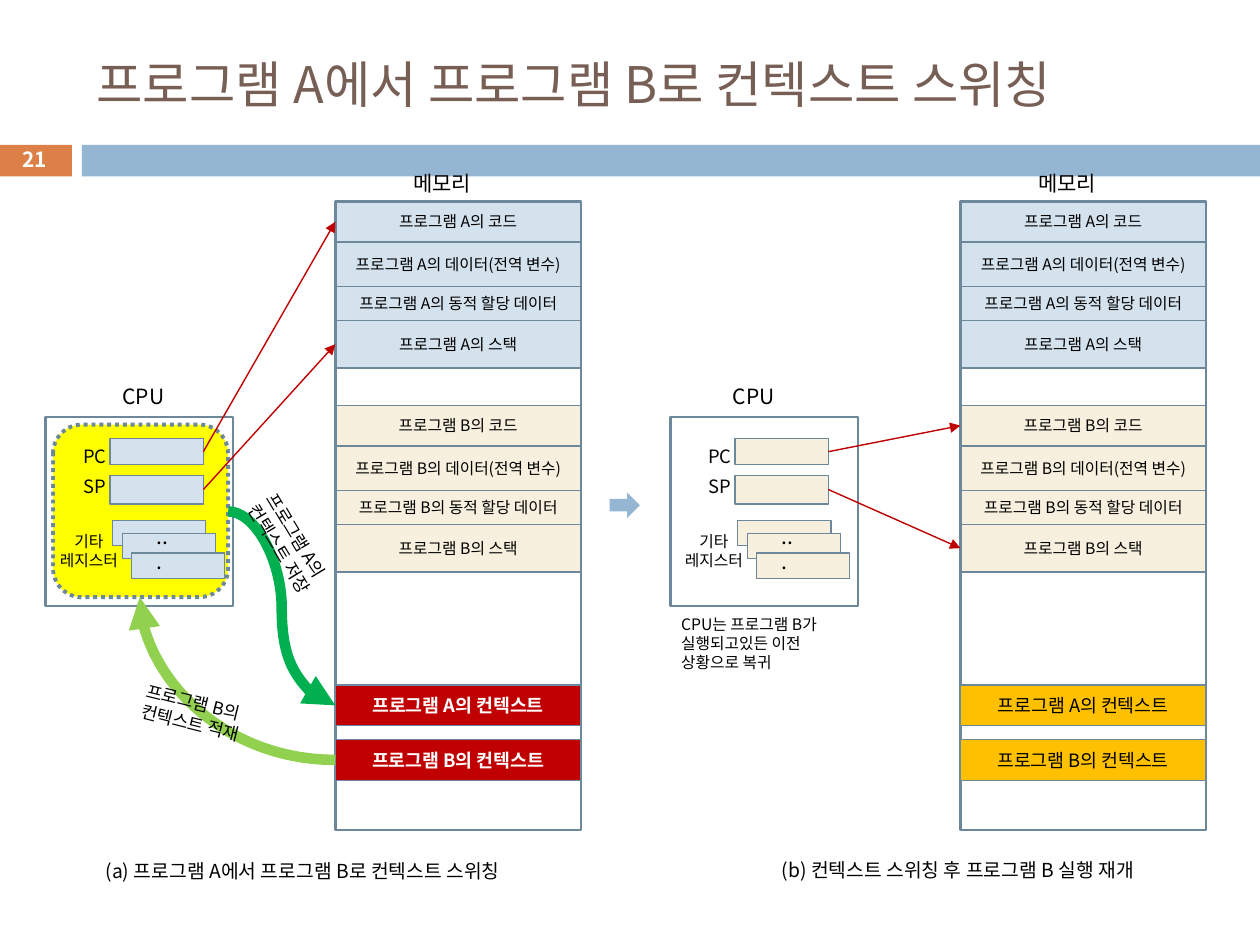
from lxml import etree
from pptx import Presentation
from pptx.dml.color import RGBColor
from pptx.enum.dml import MSO_LINE
from pptx.enum.shapes import MSO_CONNECTOR, MSO_SHAPE
from pptx.enum.text import MSO_ANCHOR, MSO_AUTO_SIZE, PP_ALIGN
from pptx.oxml.ns import qn
from pptx.util import Cm, Pt

BOX, RECT = MSO_SHAPE.FLOWCHART_PROCESS, MSO_SHAPE.RECTANGLE
ROUND, RIGHT_ARROW = MSO_SHAPE.ROUNDED_RECTANGLE, MSO_SHAPE.RIGHT_ARROW
STRAIGHT, CURVE = MSO_CONNECTOR.STRAIGHT, MSO_CONNECTOR.CURVE
LEFT, CENTER = PP_ALIGN.LEFT, PP_ALIGN.CENTER
TOP, MIDDLE = MSO_ANCHOR.TOP, MSO_ANCHOR.MIDDLE
DOTTED, GROW = MSO_LINE.ROUND_DOT, MSO_AUTO_SIZE.SHAPE_TO_FIT_TEXT

FONT = "Noto Sans CJK KR"
COLORS = {
    "black": "000000", "white": "FFFFFF", "title": "775F55", "orange": "DD8047",
    "blue": "94B6D2", "edge": "6D879B", "A": "D4E2ED", "B": "F7F0DE",
    "yellow": "FFFF00", "red": "C00000", "gold": "FFC000",
    "green": "00B050", "lime": "92D050",
}

# Memory sections of one program: name, height in cm
SECTIONS = [("코드", 0.82), ("데이터(전역 변수)", 0.9),
            ("동적 할당 데이터", 0.68), ("스택", 0.96)]
PROGRAM_TOP = {"A": 0, "B": 4.11}
CONTEXT_TOP = {"A": 9.75, "B": 10.85}
CODE_H, STACK_H = SECTIONS[0][1], SECTIONS[-1][1]
STACK_TOP = sum(h for _, h in SECTIONS[:-1])
MEM_DX, MEM_Y, MEM_W, MEM_H = 5.84, 4.06, 4.95, 12.67
CPU_Y, CPU_W, CPU_H = 8.41, 3.78, 3.81
REG_X, REG_W = 1.3, 1.88
REGISTERS = [("PC", 0.43, 0.53, 0.43), ("SP", 1.17, 0.58, 1.04)]


def rgb(name):
    return RGBColor.from_string(COLORS[name])


def write(tf, lines, size, color="black", bold=False, align=LEFT, anchor=TOP):
    tf.vertical_anchor = anchor
    for i, line in enumerate(lines.split("\n")):
        p = tf.paragraphs[0] if i == 0 else tf.add_paragraph()
        p.alignment = align
        r = p.add_run()
        r.text = line
        r.font.size, r.font.bold, r.font.name = Pt(size), bold, FONT
        r.font.color.rgb = rgb(color)
        etree.SubElement(r._r.get_or_add_rPr(), qn("a:ea"), typeface=FONT)


def label(s, x, y, w, h, lines, size, wrap=True, grow=True, rotation=0, **style):
    sp = s.shapes.add_textbox(Cm(x), Cm(y), Cm(w), Cm(h))
    sp.rotation = rotation
    tf = sp.text_frame
    tf.word_wrap = wrap
    if grow:
        tf.auto_size = GROW
    write(tf, lines, size, **style)


def shape(s, kind, x, y, w, h, fill=None, edge="edge", width=0.75):
    sp = s.shapes.add_shape(kind, Cm(x), Cm(y), Cm(w), Cm(h))
    sp.shadow.inherit = False
    if fill:
        sp.fill.solid()
        sp.fill.fore_color.rgb = rgb(fill)
    else:
        sp.fill.background()
    if edge:
        sp.line.color.rgb = rgb(edge)
        sp.line.width = Pt(width)
    else:
        sp.line.fill.background()
    return sp


def cell(s, x, y, h, text, fill, size=9, color="black", bold=False):
    tf = shape(s, BOX, x, y, MEM_W, h, fill).text_frame
    tf.margin_left = tf.margin_right = tf.margin_top = tf.margin_bottom = 0
    tf.word_wrap = True
    write(tf, text, size, color, bold, CENTER, MIDDLE)


def arrow(s, x1, y1, x2, y2, color="red", width=0.79, kind=STRAIGHT, preset=None):
    c = s.shapes.add_connector(kind, Cm(x1), Cm(y1), Cm(x2), Cm(y2))
    c.line.color.rgb = rgb(color)
    c.line.width = Pt(width)
    etree.SubElement(c.line._get_or_add_ln(), qn("a:tailEnd"), type="triangle")
    sp_pr = c._element.spPr
    etree.SubElement(sp_pr, qn("a:effectLst"))
    if preset:
        sp_pr.find(qn("a:prstGeom")).set("prst", preset)


def header(s):
    shape(s, RECT, 0, 2.92, 1.45, 0.64, "orange", None)
    shape(s, RECT, 1.65, 2.92, 23.75, 0.64, "blue", None)
    label(s, 1.7, 0.64, 22.66, 2.08, "프로그램 A에서 프로그램 B로 컨텍스트 스위칭", 28.8,
          grow=False, color="title", anchor=MIDDLE)
    label(s, -0.03, 2.87, 1.47, 0.69, "21", 11.9, grow=False,
          color="white", bold=True, align=CENTER, anchor=MIDDLE)


def memory(s, x, y, context_fill, context_color, context_bold):
    label(s, x + 1.32, y - 0.74, 2.03, 0.76, "메모리", 12)
    for program, top in PROGRAM_TOP.items():
        row_y = y + top
        for name, h in SECTIONS:
            cell(s, x, row_y, h, f"프로그램 {program}의 {name}", program)
            row_y += h
    shape(s, BOX, x, y, MEM_W, MEM_H, width=1.5)
    for program, top in CONTEXT_TOP.items():
        cell(s, x, y + top, CODE_H, f"프로그램 {program}의 컨텍스트",
             context_fill, 10.5, context_color, context_bold)


def cpu(s, x, y, title_dx, fill):
    shape(s, BOX, x, y, CPU_W, CPU_H, width=1.5)
    label(s, x + title_dx, y - 0.81, 1.6, 0.76, "CPU", 12)
    for name, top, h, label_top in REGISTERS:
        shape(s, BOX, x + REG_X, y + top, REG_W, h, fill)
        label(s, x + 0.47, y + label_top, 1.04, 0.74, name, 10.5, align=CENTER)
    # Stack of other registers
    for dx, dy in [(1.35, 2.08), (1.55, 2.34), (1.73, 2.74)]:
        shape(s, BOX, x + dx, y + dy, REG_W, 0.51, fill)
    label(s, x + 1.98, y + 2.01, 0.74, 0.76, "...", 12)
    label(s, x - 0.03, y + 2.18, 1.8, 1.02, "기타\n레지스터", 9, wrap=False, align=CENTER)


def panel(s, x, active, title_dx, *context_style):
    """CPU and memory, with PC and SP pointing into the active program."""
    cpu(s, x, CPU_Y, title_dx, active)
    memory(s, x + MEM_DX, MEM_Y, *context_style)
    targets = [CODE_H / 2, STACK_TOP + STACK_H / 2]
    for (_, top, h, _), target in zip(REGISTERS, targets):
        arrow(s, x + REG_X + REG_W, CPU_Y + top + h / 2,
              x + MEM_DX, MEM_Y + PROGRAM_TOP[active] + target)


def switching(s, x):
    """Panel (a): saving context A and loading context B."""
    saved = shape(s, ROUND, x + 0.15, CPU_Y + 0.15, 3.53, 3.48, "yellow", width=2.25)
    saved.line.dash_style = DOTTED
    panel(s, x, "A", 1.3, "red", "white", True)
    mem_x = x + MEM_DX
    context_y = {k: MEM_Y + top + CODE_H / 2 for k, top in CONTEXT_TOP.items()}
    arrow(s, mem_x, context_y["B"], x + 1.9, CPU_Y + 3.63,
          "lime", 6, CURVE, "curvedConnector2")
    arrow(s, x + 3.68, CPU_Y + 1.9, mem_x, context_y["A"], "green", 6, CURVE)
    label(s, x + 1.7, 13.87, 2.97, 1.12, "프로그램 B의\n컨텍스트 적재", 10, rotation=14)
    label(s, x + 3.58, 10.49, 2.74, 1.12, "프로그램 A의\n컨텍스트 저장", 10, rotation=58.9)
    label(s, x + 0.96, 17.2, 9.32, 0.74,
          "(a) 프로그램 A에서 프로그램 B로 컨텍스트 스위칭", 11, wrap=False)


def resumed(s, x):
    """Panel (b): program B running again."""
    panel(s, x, "B", 1, "gold", "black", False)
    label(s, x - 0.04, 12.27, 3.81, 1.42,
          "CPU는 프로그램 B가 실행되고있든 이전 상황으로 복귀", 9)
    label(s, x + 1.99, 17.17, 8.46, 0.74,
          "(b) 컨텍스트 스위칭 후 프로그램 B 실행 재개", 11, wrap=False)


prs = Presentation()
prs.slide_width, prs.slide_height = Cm(25.4), Cm(19.05)
s = prs.slides.add_slide(prs.slide_layouts[6])
header(s)
switching(s, 0.92)
resumed(s, 13.52)
shape(s, RIGHT_ARROW, 12.29, 9.93, 0.61, 0.51, "blue", None)
prs.save("out.pptx")
